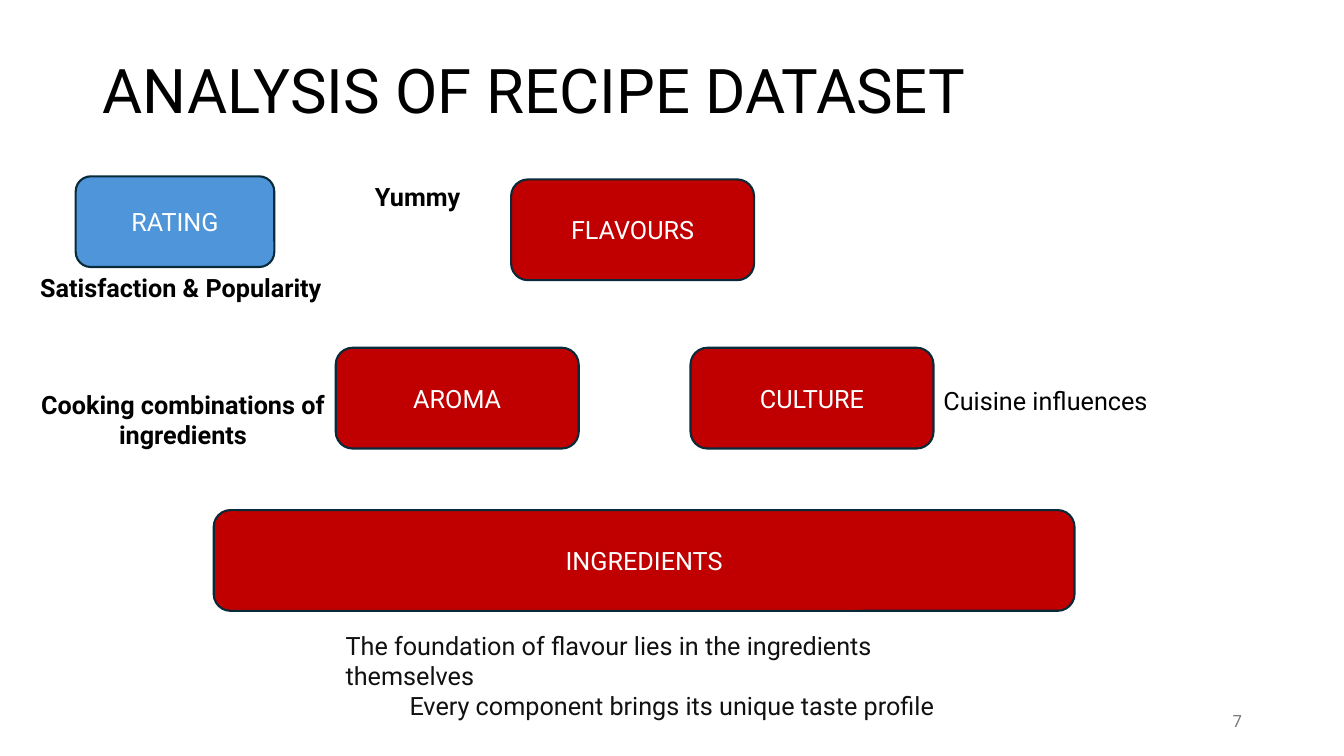
"""Build the recipe dataset analysis slide, with a pyramid of taste factors."""
from pptx import Presentation
from pptx import util as u
from pptx.dml.color import RGBColor
from pptx.enum import shapes, text

deck = Presentation()
deck.slide_width, deck.slide_height = u.Inches(13.333), u.Inches(7.5)
page = deck.slides.add_slide(deck.slide_layouts[6])
column, row = deck.slide_width / 100, deck.slide_height / 100

LEFT, CENTER, RIGHT = text.PP_ALIGN.LEFT, text.PP_ALIGN.CENTER, text.PP_ALIGN.RIGHT
TOP, MIDDLE = text.MSO_ANCHOR.TOP, text.MSO_ANCHOR.MIDDLE


def color(value):
    return RGBColor.from_string(value)


def write(words, area, fill=None, size=18, ink="000000", bold=False,
          aligns=(LEFT,), anchor=TOP, spacing=None):
    left, top, width, height = area
    place = [round(n) for n in (left * column, top * row, width * column, height * row)]
    if fill:
        box = page.shapes.add_shape(shapes.MSO_SHAPE.ROUNDED_RECTANGLE, *place)
        box.shadow.inherit = False
        box.fill.solid()
        box.fill.fore_color.rgb = color(fill)
        box.line.color.rgb = color("092A39")
        box.line.width = u.Pt(1.5)
    else:
        box = page.shapes.add_textbox(*place)
    frame = box.text_frame
    frame.word_wrap = True
    frame.vertical_anchor = anchor
    frame.text = words
    for para, align in zip(frame.paragraphs, aligns):
        para.alignment = align
        para.line_spacing = spacing
        for span in para.runs:
            span.font.name = "Roboto"
            span.font.size = u.Pt(size)
            span.font.bold = bold
            span.font.color.rgb = color(ink)


write("ANALYSIS OF RECIPE DATASET", (6.9, 5.33, 86.25, 14.13),
      size=44, anchor=MIDDLE, spacing=0.9)
write("7", (70.65, 92.67, 22.5, 5.33), size=12, ink="797979",
      aligns=(RIGHT,), anchor=MIDDLE)

RED, BLUE = "C00000", "4E95D9"
block_width, block_height = 18.08, 13.33
middle_row = 46
aroma_left, culture_left = 24.98, 51.38
blocks = [
    ("FLAVOURS", RED, (38.03, 23.73, block_width, block_height)),
    ("INGREDIENTS", RED, (15.9, 67.47, 64.05, block_height)),
    ("CULTURE", RED, (culture_left, middle_row, block_width, block_height)),
    ("AROMA", RED, (aroma_left, middle_row, block_width, block_height)),
    ("RATING", BLUE, (5.63, 23.33, 14.78, 12)),
]
for label, fill, area in blocks:
    write(label, area, fill=fill, ink="FFFFFF", aligns=(CENTER,), anchor=MIDDLE)

one_line, two_lines = 5.33, 9.47
note_left = 2.25
write("The foundation of flavour lies in the ingredients themselves\n"
      "Every component brings its unique taste profile",
      (aroma_left, 82.67, 50.03, two_lines), ink="111111", aligns=(LEFT, CENTER))
write("Cuisine influences", (culture_left + block_width, 50.27, block_width, one_line))
write("Cooking combinations of ingredients",
      (note_left, 50.8, aroma_left - note_left, two_lines), bold=True, aligns=(CENTER,))
write("Satisfaction & Popularity", (note_left, 35.33, 22.8, one_line), bold=True)
write("Yummy", (27.15, 23.33, 9.38, one_line), bold=True)

deck.save("out.pptx")
